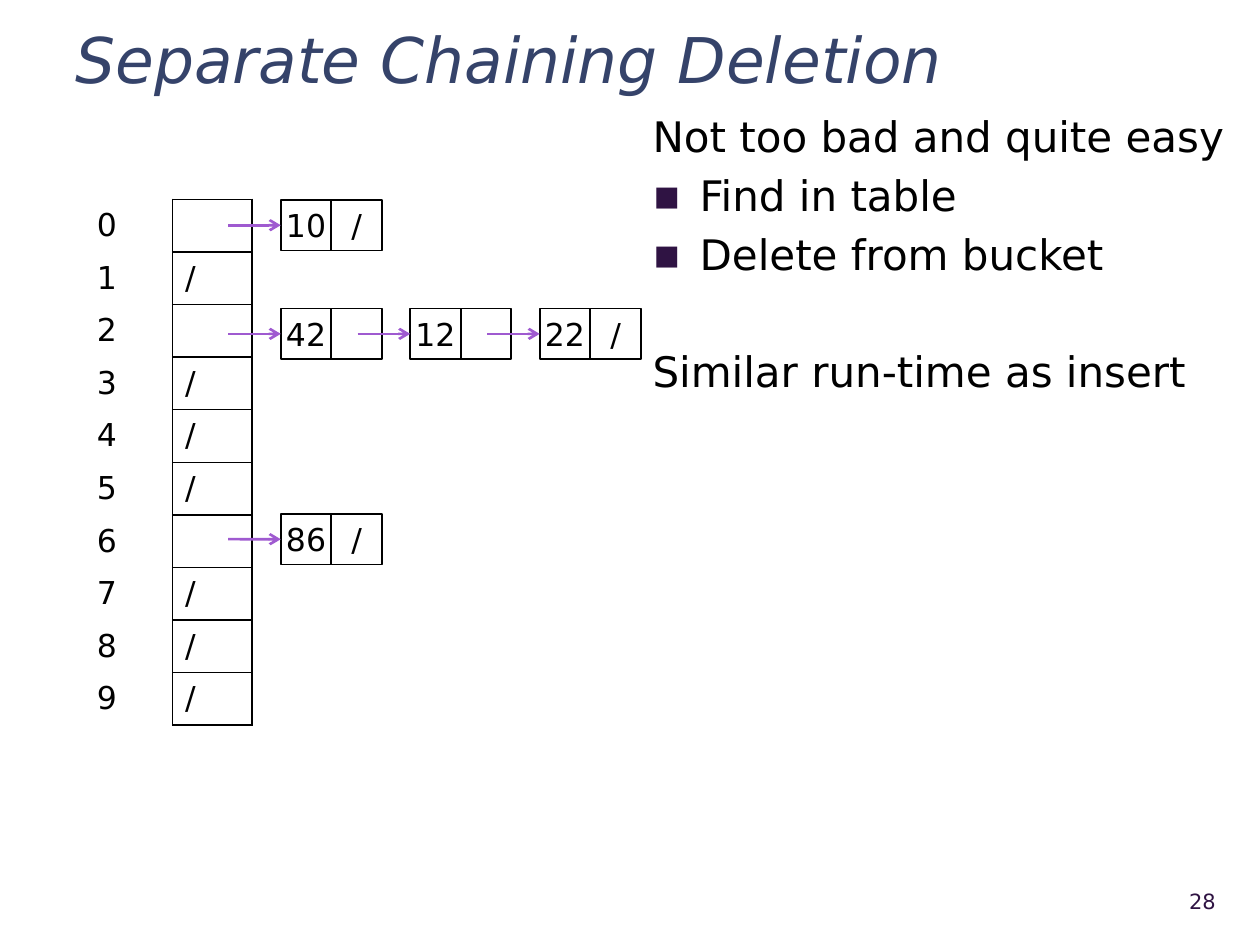
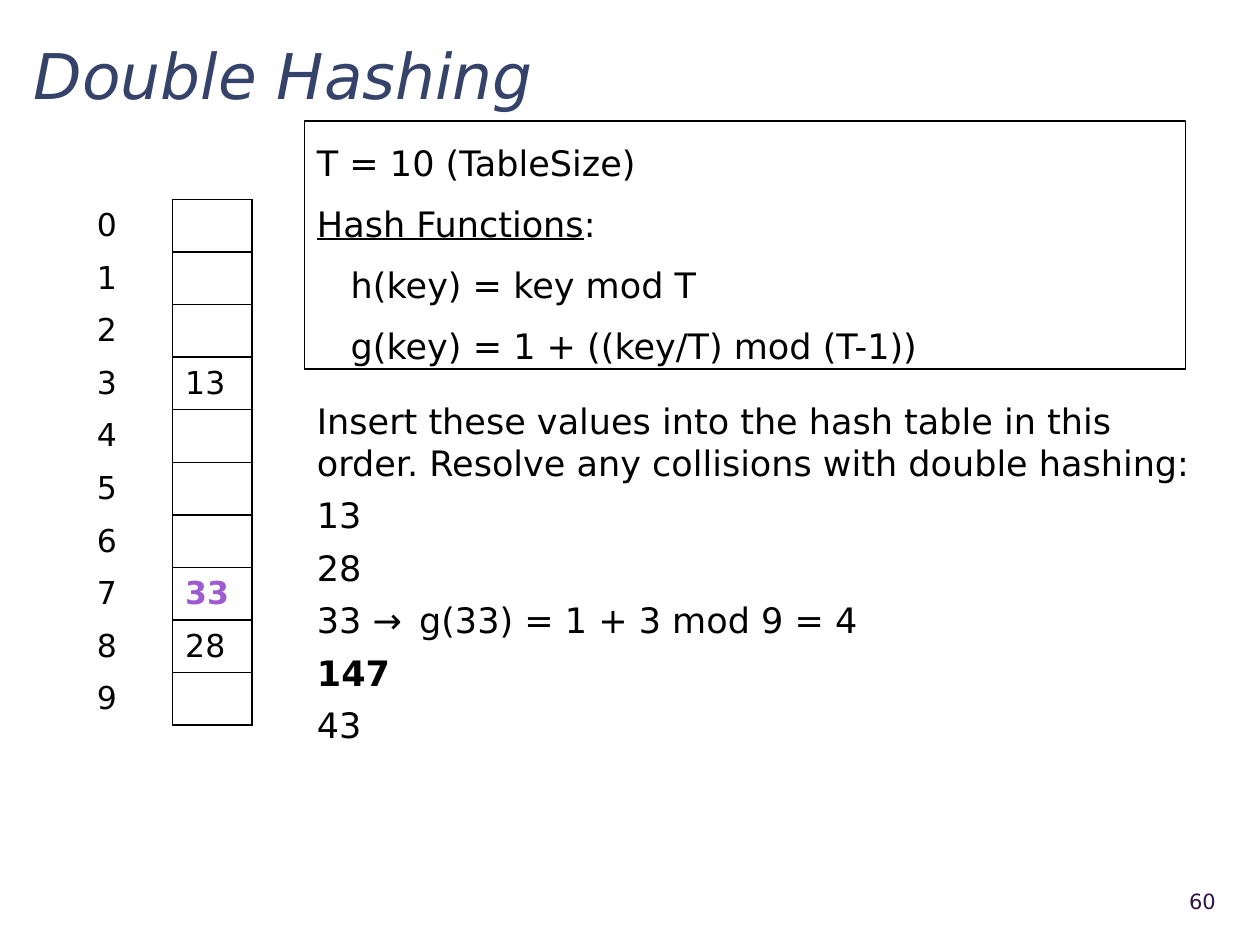
from lxml.etree import SubElement
from pptx import Presentation
from pptx.dml.color import RGBColor
from pptx.enum.shapes import MSO_CONNECTOR, MSO_SHAPE
from pptx.enum.text import MSO_ANCHOR, MSO_AUTO_SIZE, PP_ALIGN
from pptx.oxml import parse_xml
from pptx.oxml.ns import nsdecls, qn
from pptx.util import Cm, Pt

INK, NAVY, PLUM, VIOLET = "000000", "35436A", "2F1343", "9F5AD0"
FACE = "DejaVu Sans"


def paint(item, color, **vals):
    """Set the colour and other values of a font or a line."""
    item.color.rgb = RGBColor.from_string(color)
    for key, val in vals.items():
        setattr(item, key, val)


def put(frame, lines, size=18, color=INK, para=None, **vals):
    """Write one paragraph per line and return the paragraphs."""
    frame.word_wrap = True
    frame.auto_size = MSO_AUTO_SIZE.NONE
    for num, line in enumerate(lines):
        par = frame.add_paragraph() if num else frame.paragraphs[0]
        for key, val in (para or {}).items():
            setattr(par, key, val)
        if num == 0:
            par.space_before = Pt(0)
        run = par.add_run()
        run.text = line
        paint(run.font, color, size=Pt(size), name=FACE, **vals)
    return frame.paragraphs


deck = Presentation()
deck.slide_width, deck.slide_height = Cm(25.4), Cm(19.05)

# Title, title place, page number, body place, table values by row
pages = [
    ("Separate Chaining Deletion", (1.27, 0.43, 23.5, 1.35), "28",
     (12.9, 2.11, 12.12, 15.24), {row: "/" for row in (1, 3, 4, 5, 7, 8, 9)}),
    ("Double Hashing", (0.43, 0.48, 24.56, 1.9), "60",
     (6.14, 2.44, 17.76, 5), {3: "13", 7: "33", 8: "28"}),
]
slides, bodies, grids = [], [], []
for title, place, page, spot, values in pages:
    slide = deck.slides.add_slide(deck.slide_layouts[1])
    head, body = slide.shapes.title, slide.placeholders[1]
    for box, rect in ((head, place), (body, spot)):
        box.left, box.top, box.width, box.height = map(Cm, rect)
    head.text_frame.vertical_anchor = MSO_ANCHOR.MIDDLE
    put(head.text_frame, [title], 36, NAVY, italic=True,
        para={"alignment": PP_ALIGN.LEFT, "line_spacing": 1.1})

    foot = slide.shapes.add_textbox(Cm(22.58), Cm(17.65), Cm(2.18), Cm(1.02))
    foot.text_frame.vertical_anchor = MSO_ANCHOR.MIDDLE
    put(foot.text_frame, [page], 12, PLUM, para={"alignment": PP_ALIGN.RIGHT})

    grid = slide.shapes.add_table(10, 2, Cm(1.7), Cm(4.02), Cm(3.38), Cm(10.6)).table
    grid.first_row = grid.horz_banding = False
    grid.columns[0].width, grid.columns[1].width = Cm(1.78), Cm(1.6)
    for row in range(10):
        grid.rows[row].height = Cm(1.06)
        for col, text in enumerate((str(row), values.get(row))):
            cell = grid.cell(row, col)
            cell.fill.background()
            cell.vertical_anchor = MSO_ANCHOR.MIDDLE
            if text:
                put(cell.text_frame, [text])
            for num, side in enumerate("LRTB" if col else "R"):
                edge = parse_xml(
                    f'<a:ln{side} {nsdecls("a")} w="12700"><a:solidFill>'
                    f'<a:srgbClr val="{INK}"/></a:solidFill></a:ln{side}>')
                cell._tc.get_or_add_tcPr().insert(num, edge)
    slides.append(slide)
    bodies.append(body)
    grids.append(grid)

# Separate chaining: notes
notes = put(bodies[0].text_frame, [
    "Not too bad and quite easy", "Find in table", "Delete from bucket",
    "Similar run-time as insert"], 24, para={"space_before": Pt(4.8)})
notes[3].space_before = Pt(38.2)
for num, par in enumerate(notes):
    props = par._p.get_or_add_pPr()
    dent = Cm(0.95) if num in (1, 2) else 0
    props.set("marL", str(dent))
    props.set("indent", str(-dent))
    if dent:
        tint = SubElement(props, qn("a:buClr"))
        SubElement(tint, qn("a:srgbClr")).set("val", PLUM)
        SubElement(props, qn("a:buFont")).set("typeface", FACE)
        SubElement(props, qn("a:buChar")).set("char", "▪")
    else:
        SubElement(props, qn("a:buNone"))

# Separate chaining: buckets, each a top edge and its keys
SIDE, REACH = 1.02, 1.06
shapes = slides[0].shapes
for top, keys in ((4.03, ["10"]), (6.22, ["42", "12", "22"]), (10.36, ["86"])):
    for num, key in enumerate(keys):
        left = 5.66 + 2.61 * num
        pair = []
        for col, text in enumerate((key, "/" if key == keys[-1] else None)):
            box = shapes.add_shape(MSO_SHAPE.RECTANGLE, Cm(left + col * SIDE),
                                   Cm(top), Cm(SIDE), Cm(SIDE))
            box.shadow.inherit = False
            box.fill.background()
            paint(box.line, INK, width=Pt(1))
            frame = box.text_frame
            frame.vertical_anchor = MSO_ANCHOR.MIDDLE
            for edge in ("left", "right", "top", "bottom"):
                setattr(frame, "margin_" + edge, 0)
            if text:
                put(frame, [text], para={"alignment": PP_ALIGN.CENTER})
            pair.append(box)
        mid = Cm(top + SIDE / 2)
        link = shapes.add_connector(MSO_CONNECTOR.STRAIGHT, Cm(left - REACH), mid,
                                    Cm(left), mid)
        link.end_connect(pair[0], 1)
        paint(link.line, VIOLET, width=Pt(1.5))
        SubElement(link.line._get_or_add_ln(), qn("a:tailEnd")).set("type", "arrow")
        SubElement(link._element.spPr, qn("a:effectLst"))

# Double hashing: hash functions
paint(bodies[1].line, INK, width=Pt(0.75))
frame = bodies[1].text_frame
for edge in ("left", "right", "top", "bottom"):
    setattr(frame, "margin_" + edge, Cm(0.25))
rules = put(frame, [
    "T = 10 (TableSize)", "Hash Functions", "h(key) = key mod T",
    "g(key) = 1 + ((key/T) mod (T-1))"], 20,
    para={"space_before": Pt(6), "line_spacing": 1.2})
for num, par in enumerate(rules):
    props = par._p.get_or_add_pPr()
    props.set("marL", str(Cm(0.68) if num > 1 else 0))
    props.set("indent", "0")
    SubElement(props, qn("a:buNone"))
rules[1].runs[0].font.underline = True
colon = rules[1].add_run()
colon.text = ":"
paint(colon.font, INK, size=Pt(20), name=FACE)

# Double hashing: values to insert
task = slides[1].shapes.add_textbox(Cm(6.14), Cm(7.92), Cm(18.5), Cm(7.32))
steps = put(task.text_frame, [
    "Insert these values into the hash table in this order. "
    "Resolve any collisions with double hashing:",
    "13", "28", "33 →\tg(33) = 1 + 3 mod 9 = 4", "147", "43"], 20,
    para={"space_before": Pt(6)})
tabs = SubElement(steps[3]._p.get_or_add_pPr(), qn("a:tabLst"))
for stop in (1.09, 2.06):
    tab = SubElement(tabs, qn("a:tab"))
    tab.set("pos", str(Cm(stop)))
    tab.set("algn", "l")
steps[4].runs[0].font.bold = True
paint(grids[1].cell(7, 1).text_frame.paragraphs[0].runs[0].font, VIOLET, bold=True)

deck.save("out.pptx")
